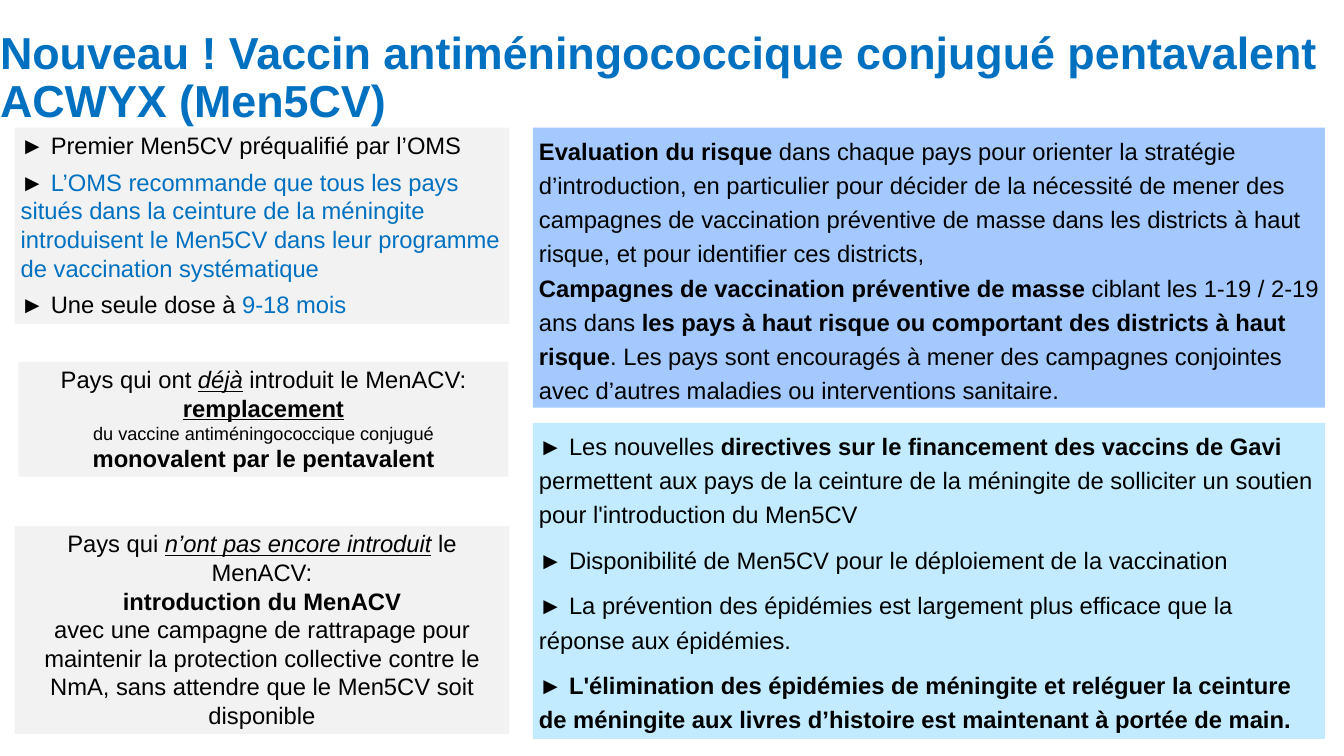
"""Builds a slide on the introduction of the Men5CV meningitis vaccine."""
from pptx import Presentation
from pptx import util as u
from pptx.dml.color import RGBColor
from pptx.enum import shapes, text

BLUE, BLACK, GREY = "0070C0", "000000", "F2F2F2"
STYLES = {
    "plain": {},
    "bold": {"bold": True},
    "stress": {"italic": True, "underline": True},
    "key": {"bold": True, "underline": True},
    "small": {"size": u.Pt(21.4)},
    "blue": {"color": BLUE},
    "title": {"size": u.Pt(52.8), "bold": True, "color": BLUE},
}
SPACED = {"space_after": u.Pt(9.9)}
CENTRED = {"alignment": text.PP_ALIGN.CENTER}
LOOSE = {"line_spacing": 1.2}
AIRY = {"line_spacing": 1.2, "space_before": u.Pt(6.6), "space_after": u.Pt(6.6)}

TITLE = [[("Nouveau ! Vaccin antiméningococcique conjugué pentavalent ACWYX (Men5CV)", "title")]]
RECOMMENDATION = [
    [("► Premier Men5CV préqualifié par l’OMS", "plain")],
    [("► ", "plain"),
     ("L’OMS recommande que tous les pays situés dans la ceinture de la méningite "
      "introduisent le Men5CV dans leur programme de vaccination systématique", "blue")],
    [("► Une seule dose à ", "plain"), ("9-18 mois", "blue")],
]
REPLACEMENT = [
    [("Pays qui ont ", "plain"), ("déjà", "stress"), (" introduit le MenACV:", "plain")],
    [("remplacement", "key")],
    [("du vaccine antiméningococcique conjugué", "small")],
    [("monovalent par le pentavalent", "bold")],
]
INTRODUCTION = [
    [("Pays qui ", "plain"), ("n’ont pas encore introduit", "stress"), (" le MenACV:", "plain")],
    [("introduction du MenACV", "bold")],
    [("avec une campagne de rattrapage pour maintenir la protection collective contre "
      "le NmA, sans attendre que le Men5CV soit disponible", "plain")],
]
STRATEGY = [
    [("Evaluation du risque ", "bold"),
     ("dans chaque pays pour orienter la stratégie d’introduction, en particulier pour "
      "décider de la nécessité de mener des campagnes de vaccination préventive de masse "
      "dans les districts à haut risque, et pour identifier ces districts,", "plain")],
    [("Campagnes de vaccination préventive de masse ", "bold"),
     ("ciblant les 1-19 / 2-19 ans dans ", "plain"),
     ("les pays à haut risque ou comportant des districts à haut risque", "bold"),
     (". Les pays sont encouragés à mener des campagnes conjointes avec d’autres "
      "maladies ou interventions sanitaire.", "plain")],
]
OUTLOOK = [
    [("► Les nouvelles ", "plain"),
     ("directives sur le financement des vaccins de Gavi ", "bold"),
     ("permettent aux pays de la ceinture de la méningite de solliciter un soutien pour "
      "l'introduction du Men5CV", "plain")],
    [("► Disponibilité de Men5CV pour le déploiement de la vaccination", "plain")],
    [("► La prévention des épidémies est largement plus efficace que la réponse aux "
      "épidémies.", "plain")],
    [("► ", "plain"),
     ("L'élimination des épidémies de méningite et reléguer la ceinture de méningite aux "
      "livres d’histoire est maintenant à portée de main.", "bold")],
]
PANELS = [
    ((0.24, 2.09, 8.09, 3.21), GREY, SPACED, RECOMMENDATION),
    ((0.3, 5.92, 8.02, 1.88), GREY, CENTRED, REPLACEMENT),
    ((8.72, 2.09, 12.96, 4.58), "A4C9FF", LOOSE, STRATEGY),
    ((8.72, 6.92, 12.96, 5.17), "C2EBFF", AIRY, OUTLOOK),
    ((0.24, 8.61, 8.09, 3.4), GREY, CENTRED, INTRODUCTION),
]


def paint(color_format, value):
    color_format.rgb = RGBColor.from_string(value)


def apply(target, values):
    for name, value in values.items():
        setattr(target, name, value)


def write(frame, paragraphs, layout):
    for index, spans in enumerate(paragraphs):
        para = frame.add_paragraph() if index else frame.paragraphs[0]
        apply(para, {"alignment": text.PP_ALIGN.LEFT, **layout})
        if index == 0:
            para.space_before = u.Pt(0)
        for words, style in spans:
            span = para.add_run()
            span.text = words
            values = {"name": "Arial", "size": u.Pt(28), "color": BLACK, **STYLES[style]}
            paint(span.font.color, values.pop("color"))
            apply(span.font, values)


def add_title(page):
    box = page.shapes.add_textbox(*map(u.Inches, (0, 0.5, 21.99, 1.19)))
    apply(box.text_frame, {"word_wrap": True, "margin_left": 0, "margin_top": 0,
                           "margin_right": 0, "margin_bottom": 0})
    write(box.text_frame, TITLE, {"line_spacing": 0.9})


def add_panel(page, place, fill, layout, paragraphs):
    box = page.shapes.add_shape(shapes.MSO_SHAPE.RECTANGLE, *map(u.Inches, place))
    box.shadow.inherit = False
    box.fill.solid()
    paint(box.fill.fore_color, fill)
    box.line.fill.background()
    apply(box.text_frame, {"word_wrap": True, "vertical_anchor": text.MSO_ANCHOR.TOP,
                           "auto_size": text.MSO_AUTO_SIZE.SHAPE_TO_FIT_TEXT})
    write(box.text_frame, paragraphs, layout)


def main():
    deck = Presentation()
    deck.slide_width, deck.slide_height = u.Inches(21.99), u.Inches(12.37)
    page = deck.slides.add_slide(deck.slide_layouts[6])
    add_title(page)
    for panel in PANELS:
        add_panel(page, *panel)
    deck.save("out.pptx")


if __name__ == "__main__":
    main()
